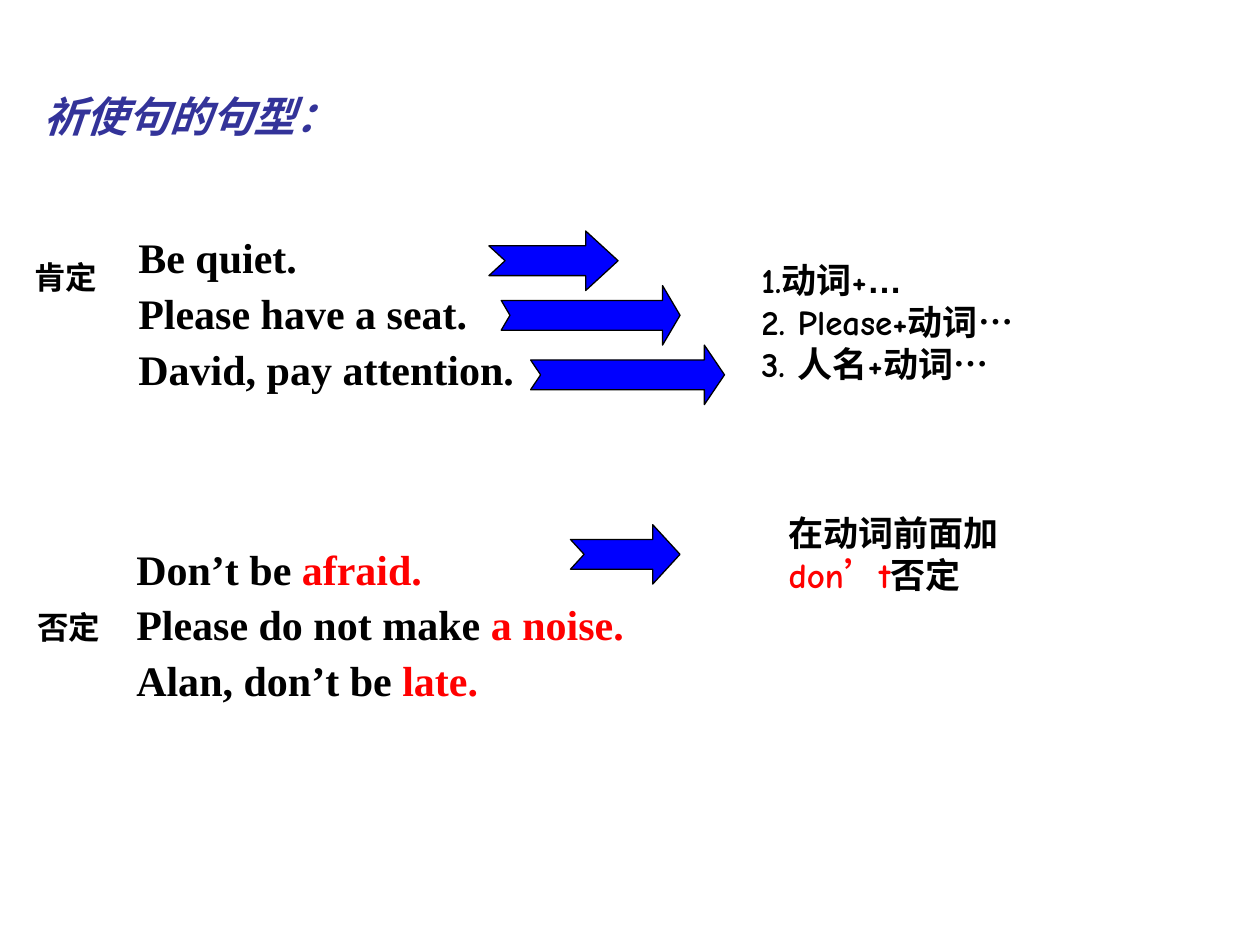
from pptx import Presentation
from pptx.dml.color import RGBColor
from pptx.enum.shapes import MSO_SHAPE
from pptx.util import Pt

BLACK = RGBColor(0x00, 0x00, 0x00)
RED = RGBColor(0xFF, 0x00, 0x00)
BLUE = RGBColor(0x00, 0x00, 0xFF)
INDIGO = RGBColor(0x33, 0x33, 0x99)
SERIF, COMIC, SANS, NARROW = "Times New Roman", "Comic Neue", "Arial", "Arial Narrow"

presentation = Presentation()
presentation.slide_width, presentation.slide_height = Pt(720), Pt(540)
slide = presentation.slides.add_slide(presentation.slide_layouts[6])


def add_text(left, top, width, height, size, lines, line_spacing=None, gap=0, italic=False):
    """Add a text box; each line is a list of (text, font, colour) runs."""
    box = slide.shapes.add_textbox(Pt(left), Pt(top), Pt(width), Pt(height))
    frame = box.text_frame
    frame.word_wrap = True
    for index, line in enumerate(lines):
        paragraph = frame.paragraphs[0] if index == 0 else frame.add_paragraph()
        paragraph.line_spacing = line_spacing
        if index:
            paragraph.space_before = Pt(gap)
        for text, font_name, color in line:
            run = paragraph.add_run()
            run.text = text
            run.font.name = font_name
            run.font.size = Pt(size)
            run.font.bold = True
            run.font.italic = italic
            run.font.color.rgb = color


# Title
add_text(18, 48, 670, 40, 24, [[("祈使句的句型：", NARROW, INDIGO)]], italic=True)

# Example sentences, affirmative then negative
affirmative = ["Be quiet.", "Please have a seat.", "David, pay attention."]
add_text(72, 132, 366, 142, 24, [[(text, SERIF, BLACK)] for text in affirmative],
         line_spacing=0.9, gap=6)

negative = [("Don’t be", " afraid."), ("Please do not make", " a noise."),
            ("Alan, don’t be", " late.")]
add_text(70.8, 310, 426, 159, 24,
         [[(start, SERIF, BLACK), (end, SERIF, RED)] for start, end in negative],
         line_spacing=0.9, gap=6)

# Group labels
for text, left, top, width in [("肯定", 12.4, 144, 51), ("否定", 14.2, 343.7, 57)]:
    add_text(left, top, width, 29, 18, [[(text, COMIC, BLACK)]])

# Sentence patterns
patterns = ["1.动词+", "2. Please+动词", "3. 人名+动词"]
add_text(428, 144, 292, 116, 20,
         [[(text, COMIC, BLACK), ("…", SANS, BLACK)] for text in patterns])
add_text(443.5, 289, 184, 55, 20, [[
    ("在动词前面加", COMIC, BLACK), ("don", COMIC, RED), ("’", SANS, RED),
    ("t", COMIC, RED), ("否定", COMIC, BLACK)]])

# Arrows from sentences to patterns: left, top, width, head length
ARROW_HEIGHT = 34
arrows = [(279.4, 132, 73.8, 18.5), (286.4, 163.2, 102.2, 10),
          (303.2, 197.2, 110.8, 11.5), (326, 299.8, 62.6, 15.6)]
for left, top, width, head in arrows:
    arrow = slide.shapes.add_shape(MSO_SHAPE.NOTCHED_RIGHT_ARROW,
                                   Pt(left), Pt(top), Pt(width), Pt(ARROW_HEIGHT))
    arrow.adjustments[0] = 0.5
    arrow.adjustments[1] = head / ARROW_HEIGHT
    arrow.shadow.inherit = False
    arrow.fill.solid()
    arrow.fill.fore_color.rgb = BLUE
    arrow.line.color.rgb = BLACK
    arrow.line.width = Pt(0.75)

presentation.save("out.pptx")
